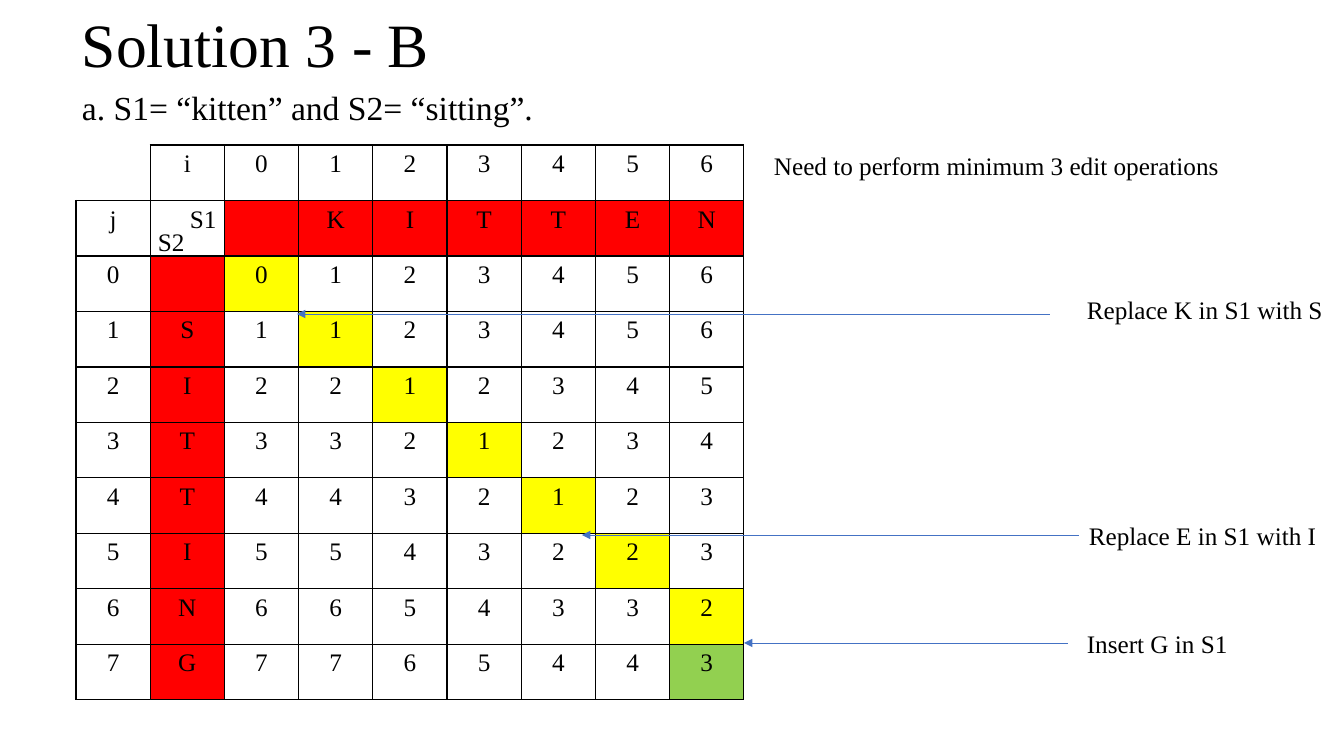
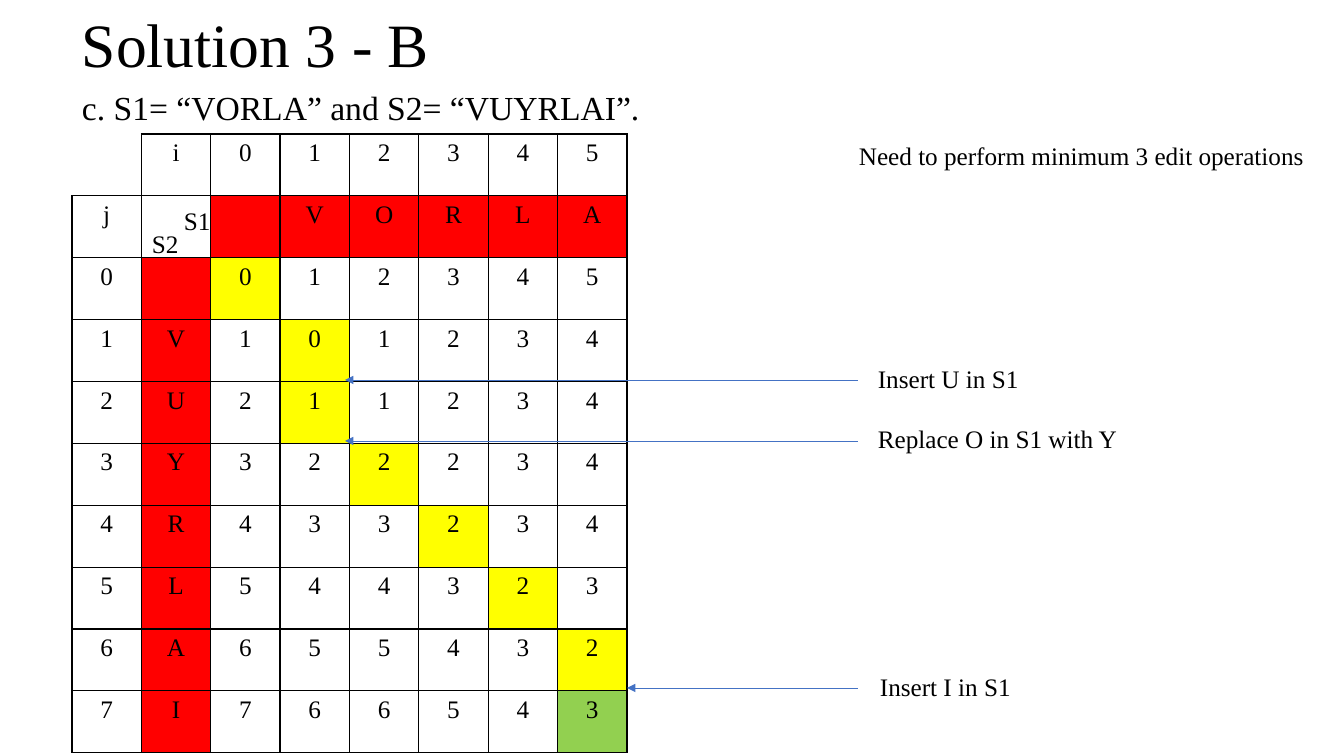
from dataclasses import dataclass

from lxml.etree import SubElement
from pptx import Presentation
from pptx.dml.color import RGBColor
from pptx.enum.shapes import MSO_CONNECTOR
from pptx.enum.text import MSO_ANCHOR, PP_ALIGN
from pptx.oxml import parse_xml
from pptx.oxml.ns import nsdecls, qn
from pptx.util import Pt

EMU_PER_PX = 914400 / 100.8
SLIDE_WIDTH, SLIDE_HEIGHT = 1344, 756


def px(length):
    return round(length * EMU_PER_PX)


@dataclass(frozen=True)
class Theme:
    font: str = "Times New Roman"
    title_size: int = 44
    subtitle_size: int = 24
    body_size: int = 18
    ink: str = "000000"
    paper: str = "FFFFFF"
    letter: str = "FF0000"
    trace: str = "FFFF00"
    result: str = "92D050"
    arrow: str = "4472C4"
    grid_width: float = 1
    arrow_width: float = 0.5


THEME = Theme()


def write_text(text_frame, text, size=THEME.body_size, align=PP_ALIGN.LEFT, spacing=None):
    paragraph = text_frame.paragraphs[0]
    paragraph.alignment = align
    paragraph.line_spacing = spacing
    run = paragraph.add_run()
    run.text = text
    run.font.name = THEME.font
    run.font.size = Pt(size)
    run.font.color.rgb = RGBColor.from_string(THEME.ink)


def edit_distances(source, target):
    """Rows of edit distances, one for each prefix of target."""
    rows = [list(range(len(source) + 1))]
    for j, target_letter in enumerate(target, start=1):
        above, row = rows[-1], [j]
        for i, source_letter in enumerate(source, start=1):
            replace = above[i - 1] + (source_letter != target_letter)
            row.append(min(above[i] + 1, row[-1] + 1, replace))
        rows.append(row)
    return rows


def set_borders(cell, sides):
    """Draw the named sides of a cell and clear the others."""
    properties = cell._tc.get_or_add_tcPr()
    line = f'<a:solidFill><a:srgbClr val="{THEME.ink}"/></a:solidFill>'
    for position, side in enumerate("LRTB"):
        fill = line if side in sides else "<a:noFill/>"
        properties.insert(position, parse_xml(
            f'<a:ln{side} {nsdecls("a")} w="{Pt(THEME.grid_width)}">{fill}</a:ln{side}>'))


class Deck:
    def __init__(self):
        self.presentation = Presentation()
        self.presentation.slide_width = px(SLIDE_WIDTH)
        self.presentation.slide_height = px(SLIDE_HEIGHT)
        self.slide = None

    def add_slide(self, title, subtitle):
        self.slide = self.presentation.slides.add_slide(self.presentation.slide_layouts[6])
        self.add_text(title, 72, 3, 1040, 90, size=THEME.title_size,
                      spacing=0.9, anchor=MSO_ANCHOR.MIDDLE)
        self.add_text(subtitle, 72, 87, 672, 46, size=THEME.subtitle_size, spacing=0.9)

    def add_text(self, text, left, top, width=None, height=40, anchor=MSO_ANCHOR.TOP, **style):
        width = width or SLIDE_WIDTH - left
        box = self.slide.shapes.add_textbox(px(left), px(top), px(width), px(height))
        box.text_frame.word_wrap = True
        box.text_frame.vertical_anchor = anchor
        write_text(box.text_frame, text, **style)
        return box

    def add_distance_table(self, source, target, trace, bounds):
        """trace gives the highlighted column for each row of distances."""
        distances = edit_distances(source, target)
        indices = list(range(len(source) + 1))
        rows = [["", "i", *indices], ["j", "", "", *source]]
        rows += [[j, letter, *row]
                 for j, (letter, row) in enumerate(zip(["", *target], distances))]

        fills = {(1, column): THEME.letter for column in range(2, len(rows[0]))}
        fills |= {(row, 1): THEME.letter for row in range(2, len(rows))}
        fills |= {(j + 2, i + 2): THEME.trace for j, i in enumerate(trace)}
        fills[len(rows) - 1, len(rows[0]) - 1] = THEME.result

        left, top, width, height = map(px, bounds)
        table = self.slide.shapes.add_table(
            len(rows), len(rows[0]), left, top, width, height).table
        table.first_row = table.horz_banding = False
        for column in table.columns:
            column.width = width // len(rows[0])
        for row in table.rows:
            row.height = height // len(rows)

        for r, values in enumerate(rows):
            for c, value in enumerate(values):
                cell = table.cell(r, c)
                cell.fill.solid()
                cell.fill.fore_color.rgb = RGBColor.from_string(fills.get((r, c), THEME.paper))
                set_borders(cell, "LRTB" if (r, c) != (0, 0) else "RB")
                write_text(cell.text_frame, str(value), align=PP_ALIGN.CENTER)

    def add_corner_labels(self, left, top):
        self.add_text("S1", left, top, 63)
        self.add_text("S2", left - 32, top + 23, 63)

    def add_arrow(self, start, end, y, label=None):
        arrow = self.slide.shapes.add_connector(
            MSO_CONNECTOR.STRAIGHT, px(start), px(y), px(end), px(y))
        if label is not None:
            arrow.begin_connect(label, 1)
        arrow.line.color.rgb = RGBColor.from_string(THEME.arrow)
        arrow.line.width = Pt(THEME.arrow_width)
        SubElement(arrow.line._get_or_add_ln(), qn("a:tailEnd"), type="triangle")
        SubElement(arrow._element.spPr, qn("a:effectLst"))

    def add_edit(self, text, text_at, start, end, y):
        """A label with an arrow into the table, joined where the two touch."""
        label = self.add_text(text, *text_at)
        self.add_arrow(start, end, y, label if text_at[0] == start else None)


# Content: words, highlighted trace, places and edit steps of each slide
SOLUTIONS = [
    dict(subtitle="a. S1= “kitten” and S2= “sitting”.",
         source="KITTEN", target="SITTING", trace=[0, 1, 2, 3, 4, 5, 6],
         bounds=(76, 145, 668, 555), corner=(180, 198), summary_at=(764, 145),
         edits=[("Insert G in S1", (1077, 623), 1068, 744, 643),
                ("Replace E in S1 with I", (1079, 515), 1079, 582, 535),
                ("Replace K in S1 with S", (1077, 289), 1050, 297, 314)]),
    dict(subtitle="c. S1= “VORLA” and S2= “VUYRLAI”.",
         source="VORLA", target="VUYRLAI", trace=[0, 1, 1, 2, 3, 4, 5],
         bounds=(72, 134, 555, 619), corner=(174, 200), summary_at=(849, 135),
         edits=[("Insert I in S1", (870, 666), 858, 627, 688),
                ("Replace O in S1 with Y", (868, 418), 858, 345, 441),
                ("Insert U in S1", (868, 358), 858, 345, 380)]),
]


def main():
    deck = Deck()
    for solution in SOLUTIONS:
        deck.add_slide("Solution 3 - B", solution["subtitle"])
        # Distance table
        deck.add_distance_table(solution["source"], solution["target"],
                                solution["trace"], solution["bounds"])
        deck.add_corner_labels(*solution["corner"])
        # Notes on the right
        deck.add_text("Need to perform minimum 3 edit operations", *solution["summary_at"], 495)
        for edit in solution["edits"]:
            deck.add_edit(*edit)
    deck.presentation.save("out.pptx")


if __name__ == "__main__":
    main()
